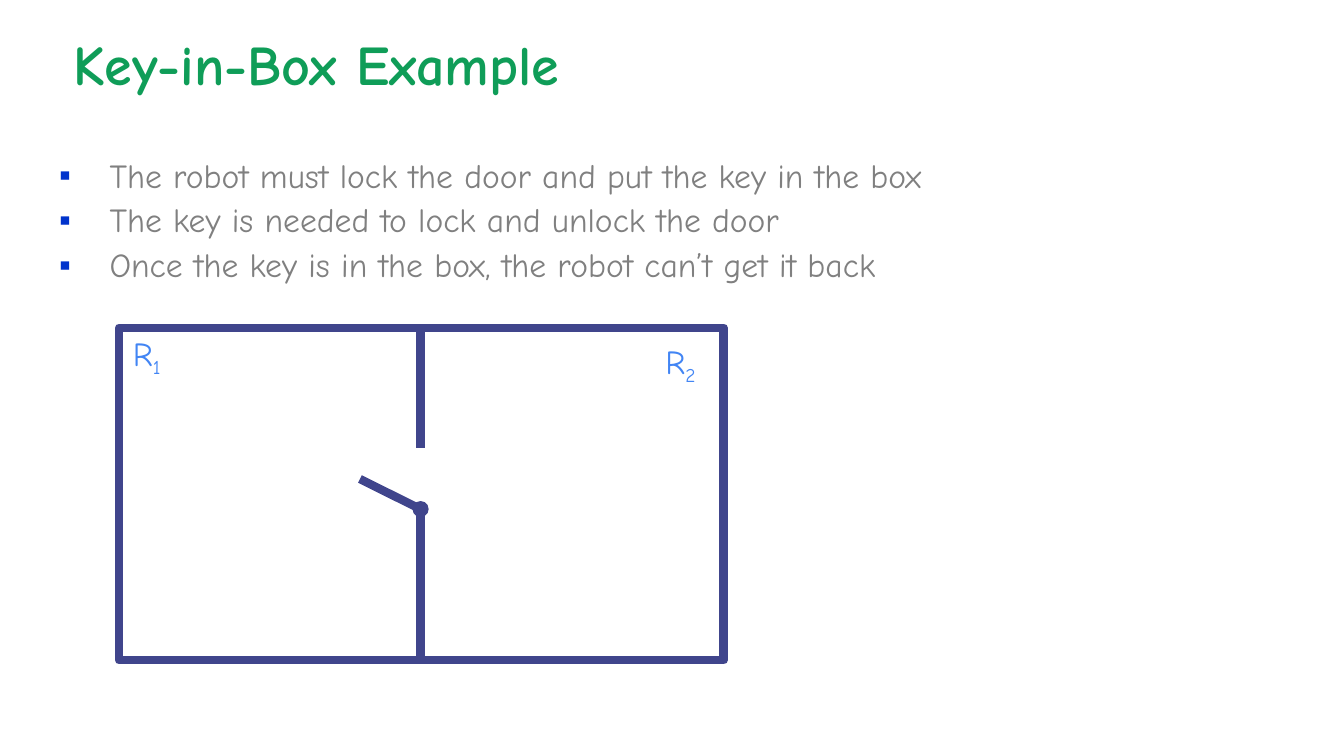
from lxml import etree
from pptx import Presentation
from pptx.enum import shapes, text
from pptx.dml.color import RGBColor
from pptx.oxml.ns import qn
from pptx.util import Cm, Pt

COLORS = {
    "title": "0F9D58",
    "body": "808080",
    "bullet": "0033CC",
    "wall": "40458C",
    "label": "4285F4",
}
FONT = "Comic Neue"
POINTS = [
    "The robot must lock the door and put the key in the box",
    "The key is needed to lock and unlock the door",
    "Once the key is in the box, the robot can’t get it back",
]


def rgb(name):
    return RGBColor.from_string(COLORS[name])


def add_run(p, content, size, color, bold=False):
    r = p.add_run()
    r.text = content
    r.font.name = FONT
    r.font.size = Pt(size)
    r.font.bold = bold
    r.font.color.rgb = rgb(color)
    return r


def place(sp, left, top, width, height):
    sp.left, sp.top, sp.width, sp.height = Cm(left), Cm(top), Cm(width), Cm(height)


def set_frame(tf, anchor, side, edge):
    tf.word_wrap = True
    tf.auto_size = text.MSO_AUTO_SIZE.NONE
    tf.vertical_anchor = anchor
    tf.margin_left = tf.margin_right = Cm(side)
    tf.margin_top = tf.margin_bottom = Cm(edge)


def add_bullet(p):
    pPr = p._p.get_or_add_pPr()
    pPr.set("marL", str(Cm(1.7)))
    pPr.set("indent", str(Cm(-1.27)))
    color = etree.SubElement(pPr, qn("a:buClr"))
    etree.SubElement(color, qn("a:srgbClr"), val=COLORS["bullet"])
    etree.SubElement(pPr, qn("a:buChar"), char="▪")


def fill_title(sp):
    place(sp, 1.6, 0.18, 32.26, 2.84)
    set_frame(sp.text_frame, text.MSO_ANCHOR.MIDDLE, 0.25, 0.25)
    p = sp.text_frame.paragraphs[0]
    p.alignment = text.PP_ALIGN.LEFT
    add_run(p, "Key-in-Box Example", 40, "title", bold=True)


def fill_body(sp):
    place(sp, 0.81, 3.76, 32.26, 13.39)
    tf = sp.text_frame
    set_frame(tf, text.MSO_ANCHOR.TOP, 0.25, 0.25)
    for i, point in enumerate(POINTS):
        p = tf.add_paragraph() if i else tf.paragraphs[0]
        add_bullet(p)
        p.line_spacing = 0.9
        p.space_before = Pt(6 if i else 0)
        add_run(p, point, 24, "body")


def add_wall(s, x1, y1, x2, y2):
    line = s.shapes.add_connector(
        shapes.MSO_CONNECTOR.STRAIGHT, Cm(x1), Cm(y1), Cm(x2), Cm(y2))
    line.line.color.rgb = rgb("wall")
    line.line.width = Pt(6)
    etree.SubElement(line._element.spPr, qn("a:effectLst"))


def add_outline(s, kind, left, top, width, height, weight):
    sp = s.shapes.add_shape(kind, Cm(left), Cm(top), Cm(width), Cm(height))
    sp.shadow.inherit = False
    sp.fill.background()
    sp.line.color.rgb = rgb("wall")
    sp.line.width = Pt(weight)
    return sp


def add_room_label(s, number, left, top, width, height):
    sp = s.shapes.add_textbox(Cm(left), Cm(top), Cm(width), Cm(height))
    set_frame(sp.text_frame, text.MSO_ANCHOR.TOP, 0.23, 0.11)
    p = sp.text_frame.paragraphs[0]
    add_run(p, "R", 24, "label")
    r = add_run(p, number, 24, "label")
    r.font._element.set("baseline", "-25000")


def add_floor_plan(s):
    left, top, width, height = 3, 8.26, 15.24, 8.38
    wall_x, hinge_y, radius = 10.6, 12.83, 0.19
    add_wall(s, wall_x, hinge_y, wall_x, top + height)
    add_outline(s, shapes.MSO_SHAPE.RECTANGLE, left, top, width, height, 6)
    add_wall(s, wall_x, top, wall_x, 11.3)
    add_wall(s, wall_x, hinge_y, 9.07, 12.07)
    hinge = add_outline(s, shapes.MSO_SHAPE.OVAL, wall_x - radius,
                        hinge_y - radius, 2 * radius, 2 * radius, 0.75)
    hinge.fill.solid()
    hinge.fill.fore_color.rgb = rgb("wall")
    add_room_label(s, "1", 3.12, 8.28, 1.55, 0.99)
    add_room_label(s, "2", 16.54, 8.48, 1.37, 1.14)


def main():
    prs = Presentation()
    prs.slide_width, prs.slide_height = Cm(33.87), Cm(19.05)
    s = prs.slides.add_slide(prs.slide_layouts[1])
    fill_title(s.shapes.title)
    fill_body(s.placeholders[1])
    add_floor_plan(s)
    prs.save("out.pptx")


if __name__ == "__main__":
    main()
